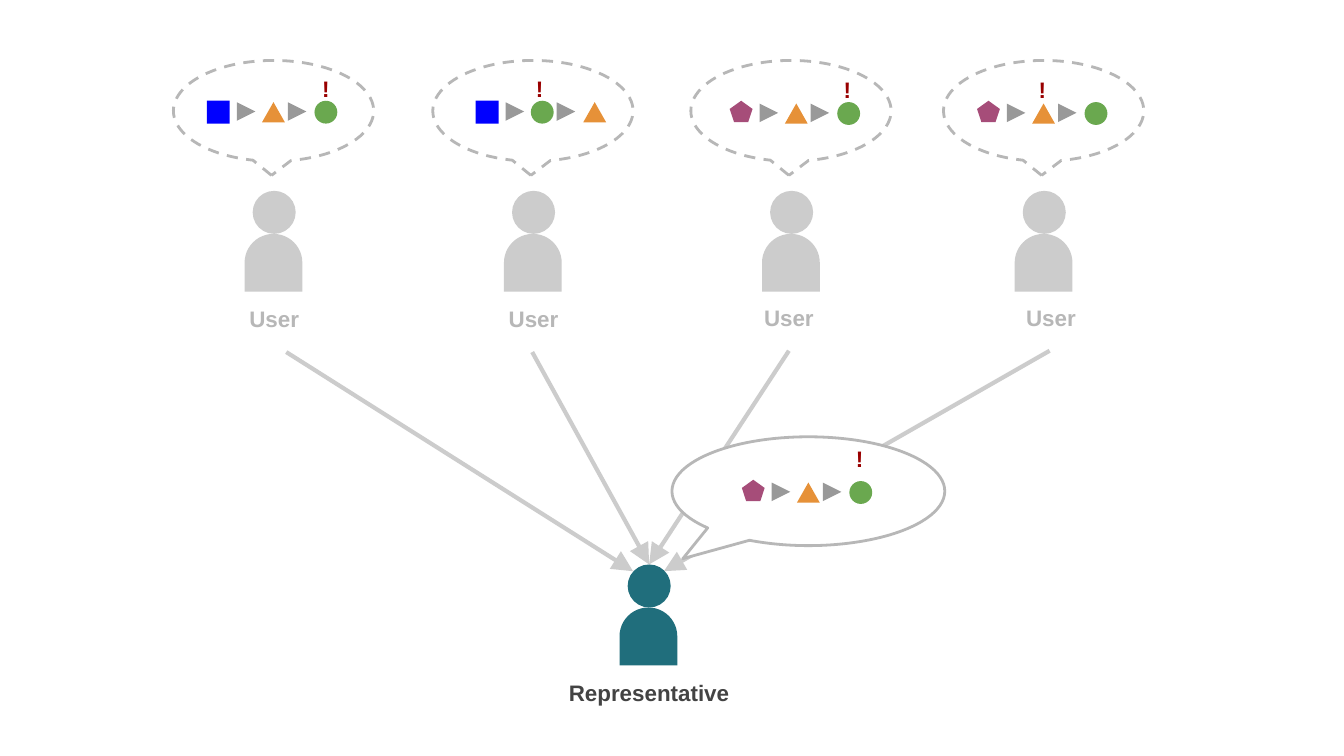
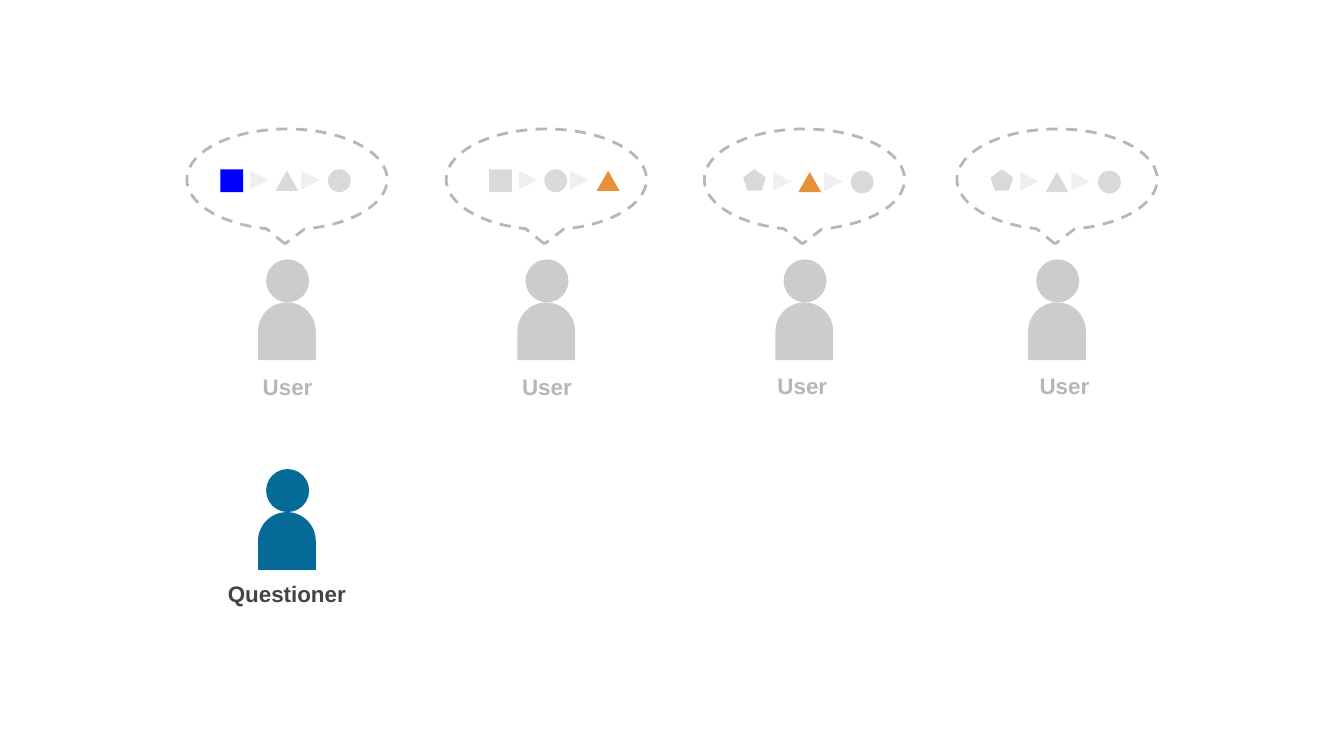
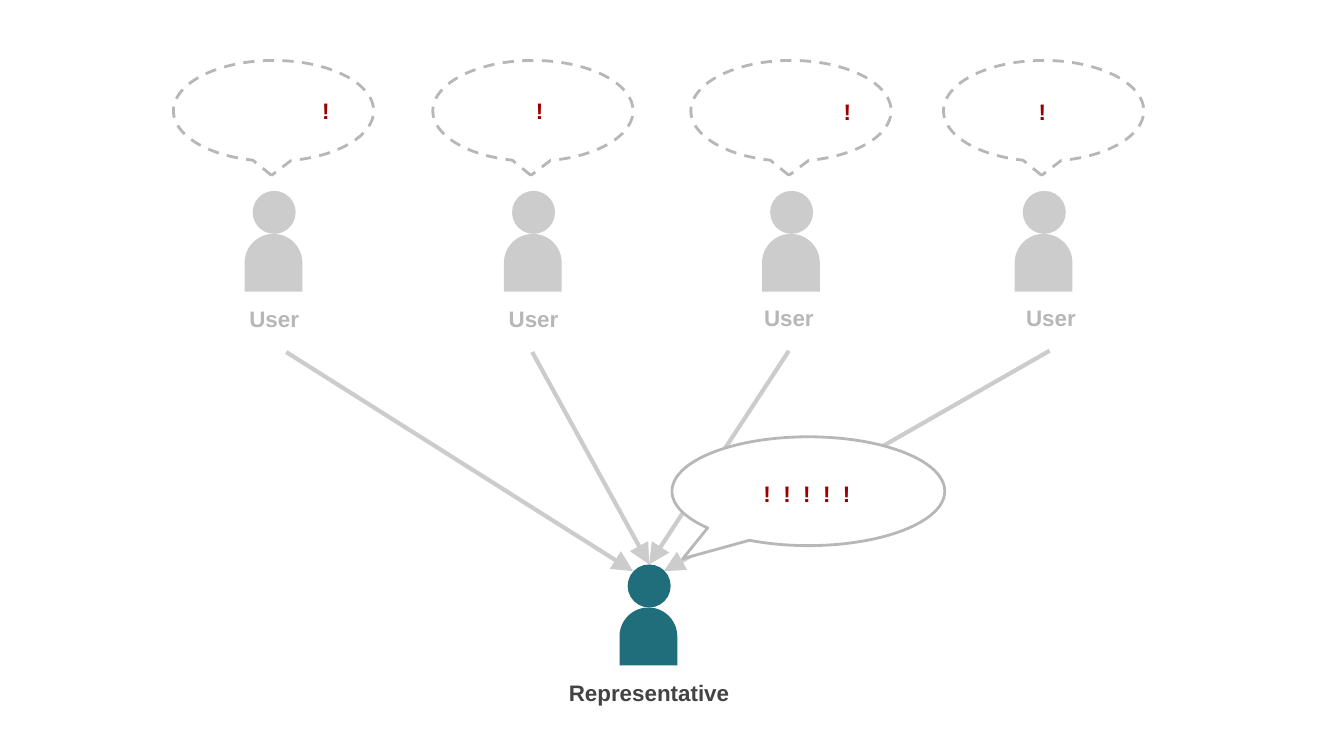
from lxml import etree
from pptx import Presentation
from pptx import util as u
from pptx.dml.color import RGBColor
from pptx.enum import dml, shapes, text
from pptx.oxml import ns

SHAPE = shapes.MSO_SHAPE
MID_GREY, LINE_GREY, DARK, RED = "CCCCCC", "B7B7B7", "434343", "990000"
PALE, PALE_ARROW, STEP_ARROW = "D9D9D9", "EFEFEF", "999999"

STEPS = {
    "square": (SHAPE.RECTANGLE, 0.08, 0.17, "0000FF"),
    "triangle": (SHAPE.ISOSCELES_TRIANGLE, 0.07, 0.15, "E69138"),
    "circle": (SHAPE.OVAL, 0.08, 0.17, "6AA84F"),
    "pentagon": (SHAPE.REGULAR_PENTAGON, 0.09, 0.16, "A64D79"),
}
STEP_LEFTS = [0, 0.41, 0.8]
ARROW_LEFTS = [0.26, 0.64]

USERS = [
    {"left": 1.29, "start": 0.25, "mark": 0.99, "label": 0.29, "drop": 0,
     "steps": ["square", "triangle", "circle"], "lit": ["square"]},
    {"left": 3.22, "start": 0.32, "mark": 0.65, "label": 0.29, "drop": 0,
     "steps": ["square", "circle", "triangle"], "lit": ["triangle"]},
    {"left": 5.14, "start": 0.29, "mark": 1.02, "label": 0.27, "drop": 0.01,
     "steps": ["pentagon", "triangle", "circle"], "lit": ["triangle"]},
    {"left": 7.02, "start": 0.25, "mark": 0.59, "label": 0.34, "drop": 0.01,
     "steps": ["pentagon", "triangle", "circle"], "lit": []},
]

REPRESENTATIVE = {"name": "Representative", "body": (4.61, 4.52), "colour": "206E7C",
                  "label": (3.98, 4.95, 1.7, 0.45)}
QUESTIONER = {"name": "Questioner", "body": (1.92, 3.81), "colour": "046B99",
              "label": (1.58, 4.22, 1.11, 0.45)}

SLIDES = [
    {"shift": (0, 0), "steps": True, "fade": False, "mark_top": 0.46, "leader": REPRESENTATIVE},
    {"shift": (0.1, 0.51), "steps": True, "fade": True, "mark_top": None, "leader": QUESTIONER},
    {"shift": (0, 0), "steps": False, "fade": False, "mark_top": 0.62, "leader": REPRESENTATIVE},
]

REPORT_ARROWS = [((2.13, 2.62), (4.71, 4.25)), ((3.96, 2.62), (4.83, 4.2)),
                 ((5.87, 2.61), (4.83, 4.2)), ((7.81, 2.61), (4.94, 4.25))]


def add_figure(slide, kind, at, fill=None, line=None):
    figure = slide.shapes.add_shape(kind, *[u.Inches(length) for length in at])
    figure.shadow.inherit = False
    if fill:
        figure.fill.solid()
        figure.fill.fore_color.rgb = RGBColor.from_string(fill)
    else:
        figure.fill.background()
    if line:
        figure.line.color.rgb = RGBColor.from_string(line)
        figure.line.width = u.Pt(1.5)
    else:
        figure.line.fill.background()
    return figure


def add_arrow(slide, start, end, colour, width):
    arrow = slide.shapes.add_connector(
        shapes.MSO_CONNECTOR.STRAIGHT, *[u.Inches(length) for length in (*start, *end)])
    arrow.line.color.rgb = RGBColor.from_string(colour)
    arrow.line.width = u.Pt(width)
    etree.SubElement(arrow.line._get_or_add_ln(), ns.qn("a:tailEnd"),
                     type="triangle", w="lg", len="lg")
    etree.SubElement(arrow._element.spPr, ns.qn("a:effectLst"))
    return arrow


deck = Presentation()
deck.slide_width, deck.slide_height = u.Inches(10), u.Inches(10 * 9 / 16)

for view in SLIDES:
    slide = deck.slides.add_slide(deck.slide_layouts[6])
    shift_x, shift_y = view["shift"]
    leader = view["leader"]
    people = [(*leader["body"], leader["colour"])]
    sequences, bubbles = [], []
    labels = [(leader["name"], leader["label"], DARK, 0)]

    for user in USERS:
        left = user["left"] + shift_x
        people.append((left + 0.53, 1.74 + shift_y, MID_GREY))
        bubbles.append((left, 0.45 + shift_y, 1.49, 0.75))
        sequences.append((left + user["start"], 0.83 + user["drop"] + shift_y,
                          user["steps"], user["lit"]))
        labels.append(("User", (left + user["label"], 2.17 - user["drop"] + shift_y, 0.92, 0.45),
                       LINE_GREY, 0))
        if view["mark_top"]:
            labels.append(("!", (left + user["mark"], view["mark_top"] + user["drop"], 0.29, 0.37),
                           RED, 0))

    heads = []
    for left, top, colour in people:
        body = add_figure(slide, SHAPE.FLOWCHART_DELAY, (left, top, 0.43, 0.43), colour)
        body.rotation = 270
        heads.append(add_figure(slide, SHAPE.OVAL, (left + 0.06, top - 0.32, 0.32, 0.32), colour))

    if leader is REPRESENTATIVE:
        for start, end in REPORT_ARROWS:
            arrow = add_arrow(slide, start, end, MID_GREY, 2.25)
            if end == (4.83, 4.2):
                arrow.end_connect(heads[0], 0)
        answer = add_figure(slide, SHAPE.OVAL_CALLOUT, (5, 3.25, 2.03, 0.81), "FFFFFF", LINE_GREY)
        answer.adjustments[0], answer.adjustments[1] = -0.46, 0.62
        if view["steps"]:
            sequences.append((5.52, 3.66, ["pentagon", "triangle", "circle"], []))
            labels.append(("!", (6.25, 3.21, 0.29, 0.37), RED, 0))
        else:
            labels.append(("! ! ! ! !", (5.38, 3.47, 1.25, 0.37), RED, 1.67))

    if view["steps"]:
        for left, middle, steps, lit in sequences:
            for offset, step in zip(STEP_LEFTS, steps):
                kind, rise, height, colour = STEPS[step]
                if view["fade"] and step not in lit:
                    colour = PALE
                add_figure(slide, kind, (left + offset, middle - rise, 0.17, height), colour)
            for offset in ARROW_LEFTS:
                add_arrow(slide, (left + offset, middle), (left + offset + 0.1, middle),
                          PALE_ARROW if view["fade"] else STEP_ARROW, 0.75)

    for at in bubbles:
        bubble = add_figure(slide, SHAPE.OVAL_CALLOUT, at, line=LINE_GREY)
        bubble.line.dash_style = dml.MSO_LINE.DASH
        bubble.adjustments[0], bubble.adjustments[1] = -0.01, 0.64

    for words, at, colour, spacing in labels:
        box = slide.shapes.add_textbox(*[u.Inches(length) for length in at])
        frame = box.text_frame
        frame.word_wrap = True
        frame.margin_left = frame.margin_right = u.Inches(0.1)
        frame.margin_top = frame.margin_bottom = u.Inches(0.1)
        frame.text = words
        para = frame.paragraphs[0]
        para.alignment = text.PP_ALIGN.CENTER
        span = para.runs[0]
        span.font.name, span.font.size, span.font.bold = "Arial", u.Pt(12), True
        span.font.color.rgb = RGBColor.from_string(colour)
        if spacing:
            span.font._element.set("spc", str(round(spacing * 100)))

deck.save("out.pptx")
